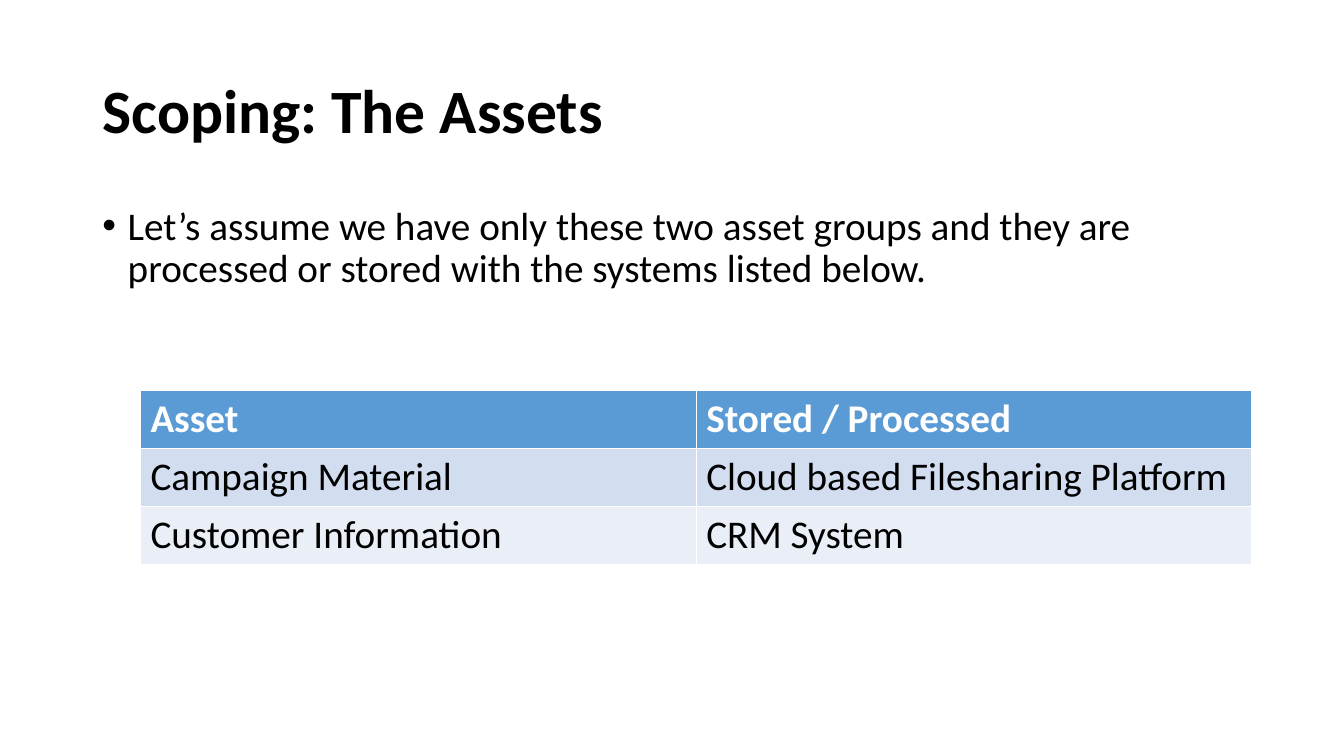
"""Build the slide on scoping the assets, with a table of where they are stored."""
from lxml.etree import SubElement
from pptx import Presentation
from pptx.dml.color import RGBColor
from pptx.enum.text import MSO_ANCHOR, PP_ALIGN
from pptx.oxml.ns import qn
from pptx.util import Cm, Pt

COLORS = {
    "text": "000000",
    "header_text": "FFFFFF",
    "header": "5B9BD5",
    "odd_row": "D2DEEF",
    "even_row": "EAEFF7",
}


def format_runs(p, size, color="text", bold=False):
    for r in p.runs:
        r.font.name = "Calibri"
        r.font.size = Pt(size)
        r.font.bold = bold
        r.font.color.rgb = RGBColor.from_string(COLORS[color])


prs = Presentation()
prs.slide_width, prs.slide_height = Cm(33.87), Cm(19.05)
s = prs.slides.add_slide(prs.slide_layouts[5])

title = s.shapes.title
title.left, title.top, title.width, title.height = Cm(2.33), Cm(1.01), Cm(29.21), Cm(3.68)
tf = title.text_frame
tf.text = "Scoping: The Assets"
tf.vertical_anchor = MSO_ANCHOR.MIDDLE
p = tf.paragraphs[0]
p.alignment = PP_ALIGN.LEFT
p.line_spacing = 0.9
format_runs(p, 44, bold=True)

body = s.shapes.add_textbox(Cm(2.33), Cm(5.07), Cm(29.21), Cm(12.09))
tf = body.text_frame
tf.word_wrap = True
tf.text = (
    "Let’s assume we have only these two asset groups and they are "
    "processed or stored with the systems listed below."
)
p = tf.paragraphs[0]
p.line_spacing = 0.9
p.space_before = Pt(10)
format_runs(p, 28)
pPr = p._p.get_or_add_pPr()
pPr.set("marL", str(Cm(0.64)))
pPr.set("indent", str(Cm(-0.64)))
SubElement(pPr, qn("a:buFont"), typeface="Arial")
SubElement(pPr, qn("a:buChar"), char="•")

rows = [
    ("Asset", "Stored / Processed"),
    ("Campaign Material", "Cloud based Filesharing Platform"),
    ("Customer Information", "CRM System"),
]
row_fills = ["header", "odd_row", "even_row"]
table = s.shapes.add_table(3, 2, Cm(3.54), Cm(9.84), Cm(28.01), Cm(4.38)).table
for i, (texts, fill) in enumerate(zip(rows, row_fills)):
    header = i == 0
    for j, text in enumerate(texts):
        cell = table.cell(i, j)
        cell.text = text
        cell.fill.solid()
        cell.fill.fore_color.rgb = RGBColor.from_string(COLORS[fill])
        format_runs(
            cell.text_frame.paragraphs[0], 28,
            "header_text" if header else "text", bold=header,
        )

prs.save("out.pptx")
